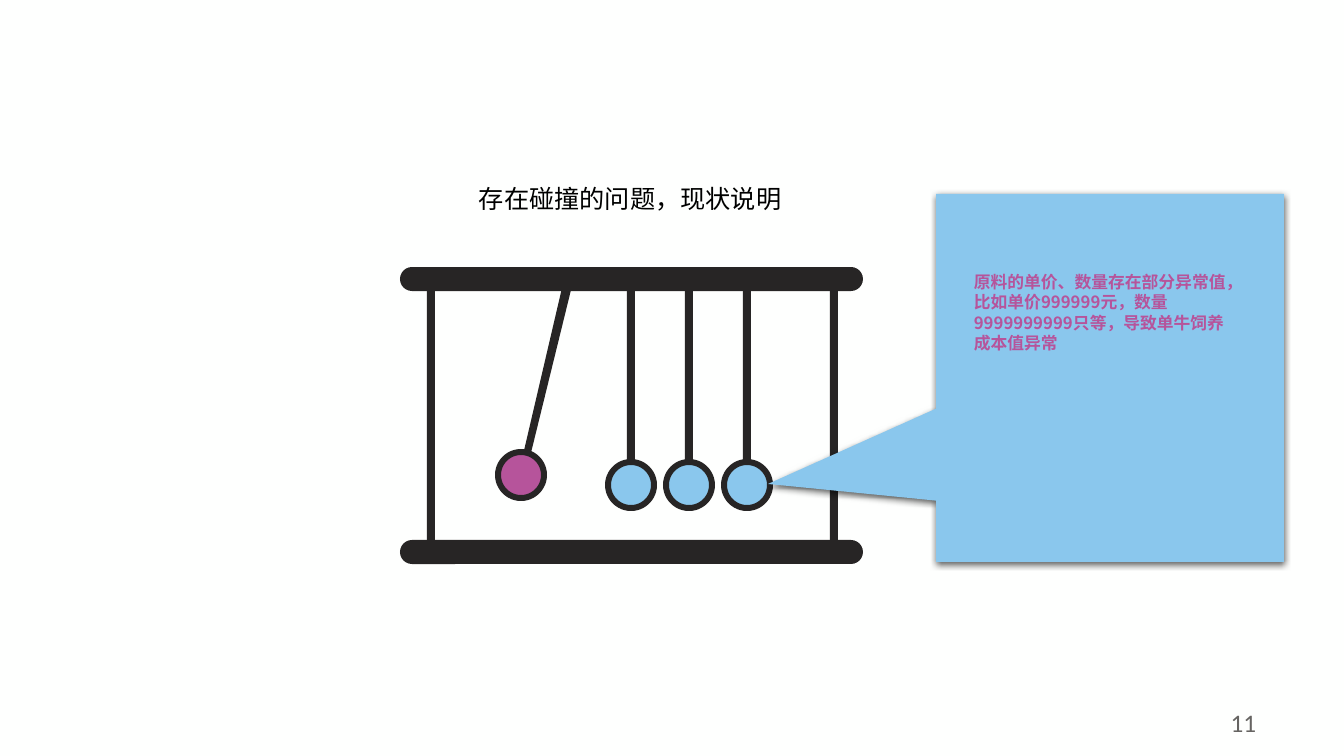
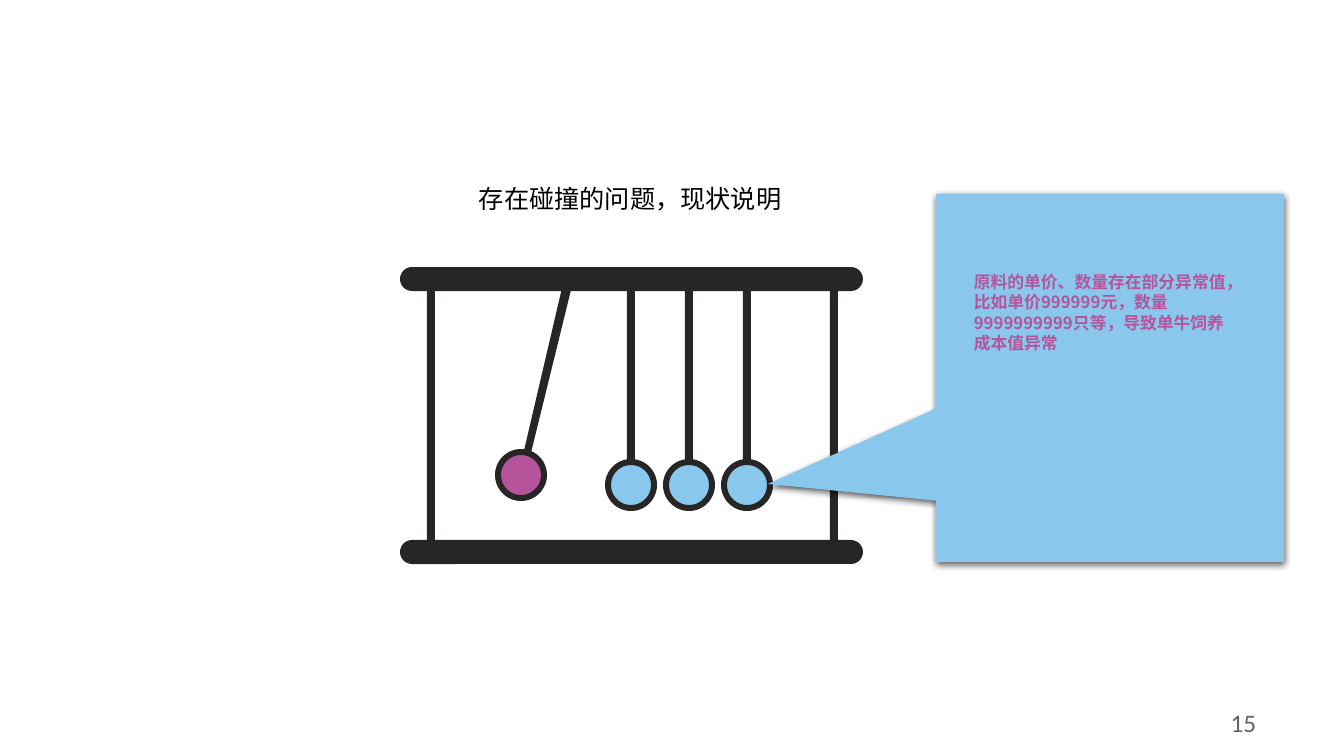
from lxml import etree
from pptx import Presentation
from pptx.dml.color import RGBColor
from pptx.enum.shapes import MSO_SHAPE
from pptx.enum.text import PP_ALIGN
from pptx.oxml.ns import qn
from pptx.util import Emu, Pt

PX = 914400 / 100.8
SLIDE_W, SLIDE_H = 1344, 756
COLORS = {
    "background": "FEFFFE",
    "frame": "272525",
    "ball": "8AC7ED",
    "accent": "B6549B",
    "heading": "000000",
    "page": "666462",
}
LATIN_FONT, CHINESE_FONT = "Calibri", "Noto Sans CJK SC"
RECT, ELLIPSE = MSO_SHAPE.RECTANGLE, MSO_SHAPE.OVAL
ROUNDED, CALLOUT = MSO_SHAPE.ROUNDED_RECTANGLE, MSO_SHAPE.RECTANGULAR_CALLOUT
LEFT, RIGHT = PP_ALIGN.LEFT, PP_ALIGN.RIGHT

HEADING = "存在碰撞的问题，现状说明"
ISSUE = "原料的单价、数量存在部分异常值，比如单价999999元，数量9999999999只等，导致单牛饲养成本值异常"
PAGE_NUMBERS = ("11", "15")


def px(length):
    return Emu(round(length * PX))


def color(name):
    return RGBColor.from_string(COLORS[name])


def paint(shape, fill):
    shape.shadow.inherit = False
    shape.fill.solid()
    shape.fill.fore_color.rgb = color(fill)
    shape.line.fill.background()
    return shape


def add_solid(shapes, kind, box, fill):
    return paint(shapes.add_shape(kind, *map(px, box)), fill)


def add_text(slide, box, text, size, fill, font, bold=False, align=LEFT, wrap=True):
    frame = slide.shapes.add_textbox(*map(px, box)).text_frame
    frame.word_wrap = wrap
    paragraph = frame.paragraphs[0]
    paragraph.alignment = align
    run = paragraph.add_run()
    run.text = text
    run.font.size = Pt(size)
    run.font.bold = bold
    run.font.name = font
    run.font.color.rgb = color(fill)
    etree.SubElement(run._r.get_or_add_rPr(), qn("a:ea"), typeface=font)


def add_ball(shapes, center_x, center_y, fill):
    diameter, rim = 46, 6
    corner = (center_x - diameter // 2, center_y - diameter // 2)
    ball = add_solid(shapes, ELLIPSE, (*corner, diameter, diameter), fill)
    ball.line.color.rgb = color("frame")
    ball.line.width = px(rim)


def add_cradle(slide, box):
    """Draw a frame with one swung ball and three hanging balls."""
    left, top, width, height = box
    shapes = slide.shapes.add_group_shape().shapes
    beam, rod = 24, 8
    under_beam = top + beam

    for beam_top in (top, top + height - beam):
        bar = add_solid(shapes, ROUNDED, (left, beam_top, width, beam), "frame")
        bar.adjustments[0] = 0.5
    for post_left in (left + 27, left + width - 33):
        add_solid(shapes, RECT, (post_left, under_beam, rod, height - 2 * beam), "frame")

    swung_string = [(162, 21), (171, 23), (130, 190), (123, 188)]
    points = [(left + x, top + y) for x, y in swung_string]
    outline = shapes.build_freeform(*points[0], scale=PX)
    outline.add_line_segments(points[1:], close=True)
    paint(outline.convert_to_shape(), "frame")
    add_ball(shapes, left + 121, top + 208, "accent")

    for i in range(3):
        center_x = left + 231 + 58 * i
        add_solid(shapes, RECT, (center_x - rod // 2, under_beam, rod, 171), "frame")
        add_ball(shapes, center_x, top + 218, "ball")


def add_issue_callout(slide, box, tip):
    left, top, width, height = box
    callout = add_solid(slide.shapes, CALLOUT, box, "ball")
    callout.adjustments[0] = (tip[0] - left) / width - 0.5
    callout.adjustments[1] = (tip[1] - top) / height - 0.5
    effects = callout._element.spPr.find(qn("a:effectLst"))
    shadow = etree.SubElement(
        effects, qn("a:outerShdw"), blurRad=str(Pt(4.5)), dist=str(Pt(1.5)),
        dir="5400000", algn="ctr", rotWithShape="0")
    black = etree.SubElement(shadow, qn("a:srgbClr"), val="000000")
    etree.SubElement(black, qn("a:alpha"), val="63000")
    add_text(slide, (left + 28, top + 73, 275, 92), ISSUE, 12, "accent",
             CHINESE_FONT, bold=True)


def add_collision_slide(prs, page_number):
    slide = prs.slides.add_slide(prs.slide_layouts[6])
    background = slide.background.fill
    background.solid()
    background.fore_color.rgb = color("background")
    add_text(slide, (964, 702, 302, 40), page_number, 18, "page", LATIN_FONT, align=RIGHT)
    add_cradle(slide, (400, 267, 463, 297))
    add_text(slide, (469, 178, 326, 40), HEADING, 18, "heading", CHINESE_FONT, wrap=False)
    add_issue_callout(slide, (936, 194, 348, 368), tip=(768, 484))


def main():
    prs = Presentation()
    prs.slide_width, prs.slide_height = px(SLIDE_W), px(SLIDE_H)
    for page_number in PAGE_NUMBERS:
        add_collision_slide(prs, page_number)
    prs.save("out.pptx")


if __name__ == "__main__":
    main()
